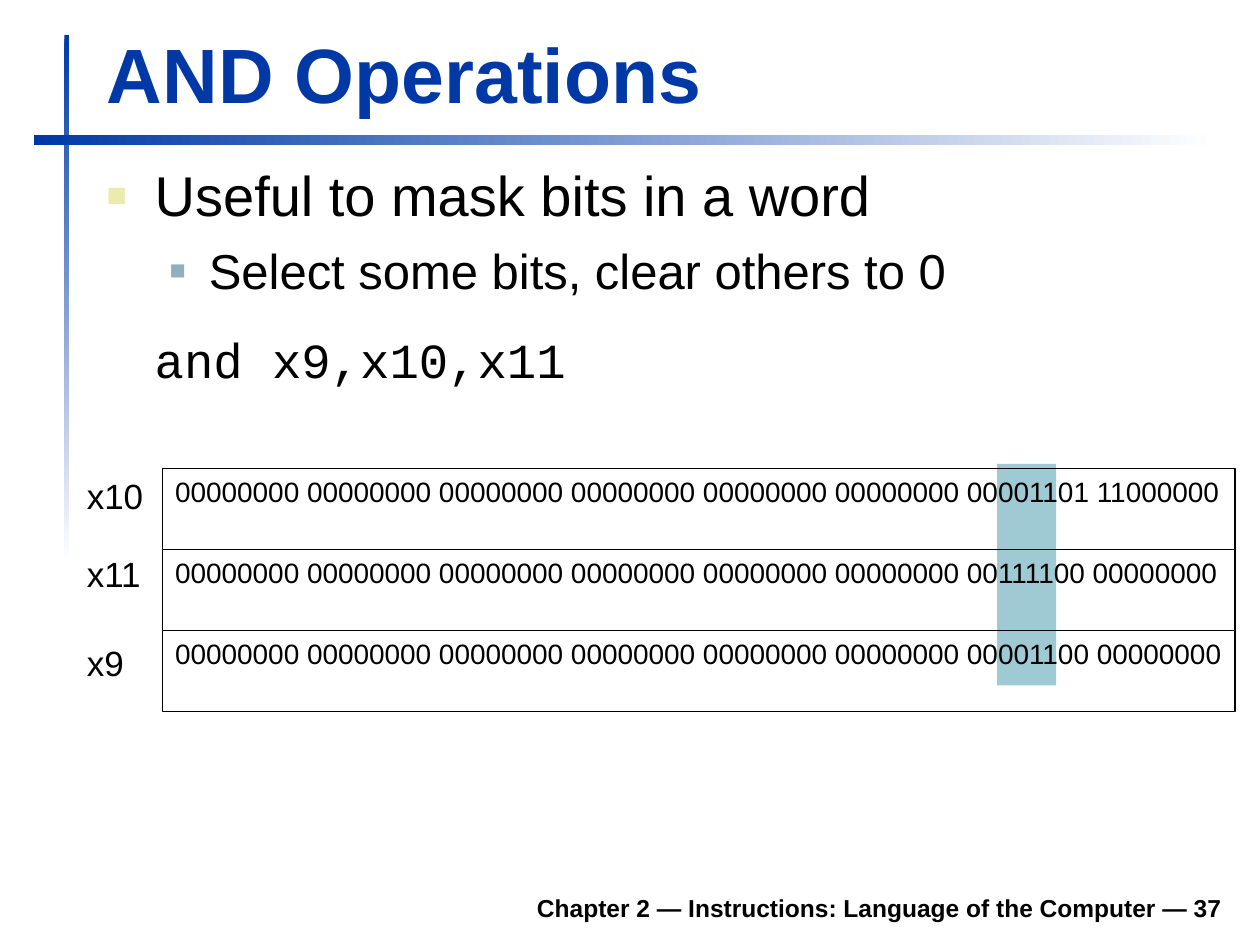
"""Build a slide on masking bits with the AND operation."""
from pptx import Presentation, util as u
from pptx.dml.color import RGBColor
from pptx.enum import shapes, text
from pptx.oxml import parse_xml
from pptx.oxml.ns import nsdecls

BLUE = RGBColor(0x00, 0x39, 0xA6)
TEAL = RGBColor(0x9F, 0xCA, 0xD3)
SAND = RGBColor(0xEC, 0xEA, 0xAC)
STEEL = RGBColor(0x91, 0xAF, 0xBF)
BLACK = RGBColor(0, 0, 0)
WHITE = RGBColor(255, 255, 255)


class Deck:
    sans = "Arial"
    mono = "Courier New"

    def __init__(self):
        self.prs = Presentation()
        self.prs.slide_width, self.prs.slide_height = u.Cm(25.4), u.Cm(19.05)
        self.slide = self.prs.slides.add_slide(self.prs.slide_layouts[5])

    def style(self, para, size, color=BLACK, bold=False, face=None):
        for run in para.runs:
            font = run.font
            font.name, font.size, font.bold = face or self.sans, u.Pt(size), bold
            font.color.rgb = color

    def title(self, words, *box):
        hold = self.slide.shapes.title
        hold.left, hold.top, hold.width, hold.height = map(u.Cm, box)
        frame = hold.text_frame
        frame.text = words
        frame.auto_size = text.MSO_AUTO_SIZE.NONE
        frame.vertical_anchor = text.MSO_ANCHOR.BOTTOM
        frame.paragraphs[0].alignment = text.PP_ALIGN.LEFT
        self.style(frame.paragraphs[0], 44, BLUE, True)

    def rect(self, *box):
        shape = self.slide.shapes.add_shape(
            shapes.MSO_SHAPE.RECTANGLE, *map(u.Cm, box))
        shape.shadow.inherit = False
        shape.line.fill.background()
        return shape

    def fade(self, angle, *box):
        fill = self.rect(*box).fill
        fill.gradient()
        fill.gradient_angle = angle
        for stop, color in zip(fill.gradient_stops, (BLUE, WHITE)):
            stop.color.rgb = color

    def band(self, color, *box):
        fill = self.rect(*box).fill
        fill.solid()
        fill.fore_color.rgb = color

    def row(self, bits, *box):
        shape = self.rect(*box)
        shape.fill.background()
        shape.line.color.rgb = BLACK
        shape.line.width = u.Pt(0.75)
        frame = shape.text_frame
        frame.text = bits
        frame.margin_right = 0
        frame.vertical_anchor = text.MSO_ANCHOR.TOP
        frame.paragraphs[0].alignment = text.PP_ALIGN.LEFT
        self.style(frame.paragraphs[0], 16)

    def label(self, words, size, *box, wrap=False, bold=False, align=None):
        frame = self.slide.shapes.add_textbox(*map(u.Cm, box)).text_frame
        frame.word_wrap = wrap
        frame.text = words
        frame.paragraphs[0].alignment = align or text.PP_ALIGN.LEFT
        self.style(frame.paragraphs[0], size, bold=bold)
        return frame

    def bullet(self, para, color, scale):
        props = para._p.get_or_add_pPr()
        for tag in (f'<a:buClr {nsdecls("a")}><a:srgbClr val="{color}"/></a:buClr>',
                    f'<a:buSzPct {nsdecls("a")} val="{scale * 1000}"/>',
                    f'<a:buFont {nsdecls("a")} typeface="{self.sans}"/>',
                    f'<a:buChar {nsdecls("a")} char="■"/>'):
            props.append(parse_xml(tag))

    def body(self, items, *box):
        frame = self.slide.shapes.add_textbox(*map(u.Cm, box)).text_frame
        frame.word_wrap = True
        frame.text = "\n".join(item[0] for item in items)
        for para, item in zip(frame.paragraphs, items):
            _, level, size, face, before, left, hang, mark = item
            para.level = level
            para.space_before = u.Pt(before)
            props = para._p.get_or_add_pPr()
            props.set("marL", str(u.Cm(left)))
            props.set("indent", str(-u.Cm(hang)))
            if mark:
                self.bullet(para, *mark)
            self.style(para, size, face=face)


def main():
    deck = Deck()
    deck.fade(270, 1.3, 0.71, 0.1, 10.6)
    deck.fade(0, 0.69, 2.72, 23.8, 0.2)
    foot = deck.label("Chapter 2 — Instructions: Language of the Computer — 37", 14,
                      4.7, 17.73, 20.19, 0.99, wrap=True, bold=True,
                      align=text.PP_ALIGN.RIGHT)
    foot.vertical_anchor = text.MSO_ANCHOR.BOTTOM
    deck.band(TEAL, 20.1, 9.35, 1.19, 4.47)
    deck.title("AND Operations", 1.9, 0.41, 22.94, 2.11)
    deck.body([
        ("Useful to mask bits in a word", 0, 32, deck.sans, 8, 0.97, 0.97, (SAND, 60)),
        ("Select some bits, clear others to 0", 1, 28, deck.sans, 7, 2.06, 0.79, (STEEL, 55)),
        ("and x9,x10,x11", 0, 28, deck.mono, 17.5, 0.97, 0, None),
    ], 1.9, 3.12, 22.96, 5.77)

    zero = "00000000"
    high = 9.45
    tall = 1.63
    rows = [("x10", "00001101 11000000", 9.45),
            ("x11", "00111100 00000000", 11.02),
            ("x9", "00001100 00000000", 12.8)]
    for i, (name, low, top) in enumerate(rows):
        deck.row(" ".join([zero] * 6 + [low]), 3.28, high + i * tall, 21.62, tall)
        deck.label(name, 20, 1.5, top, 1.65, 1.12)
    deck.prs.save("out.pptx")


if __name__ == "__main__":
    main()
